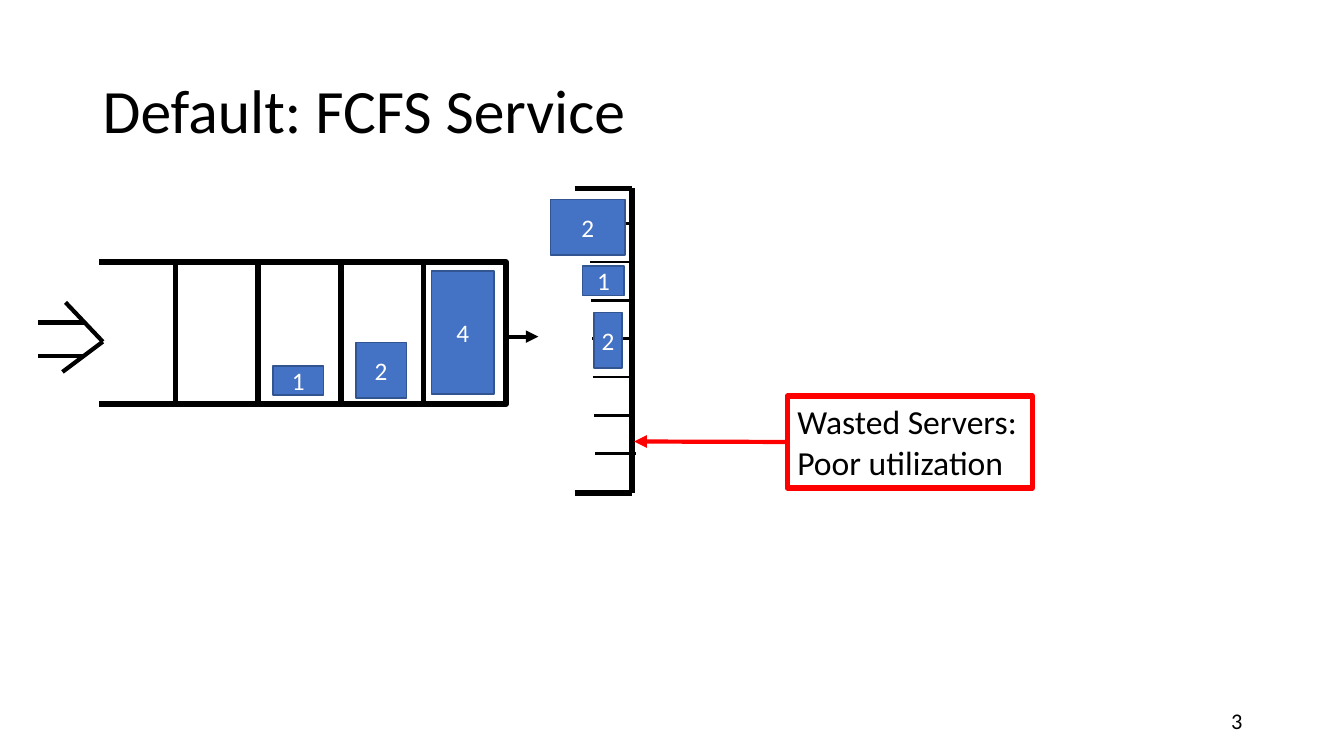
from dataclasses import dataclass

from lxml import etree
from pptx import Presentation
from pptx.dml.color import RGBColor
from pptx.enum.shapes import MSO_CONNECTOR, MSO_SHAPE
from pptx.enum.text import MSO_ANCHOR, PP_ALIGN
from pptx.oxml.ns import qn
from pptx.util import Inches, Pt

RECTANGLE = MSO_SHAPE.RECTANGLE
STRAIGHT = MSO_CONNECTOR.STRAIGHT
TOP, MIDDLE = MSO_ANCHOR.TOP, MSO_ANCHOR.MIDDLE
LEFT, CENTER, RIGHT = PP_ALIGN.LEFT, PP_ALIGN.CENTER, PP_ALIGN.RIGHT


@dataclass(frozen=True)
class Theme:
    font: str = "Calibri"
    ink: str = "000000"
    paper: str = "FFFFFF"
    job: str = "4472C4"
    job_edge: str = "325491"
    alert: str = "FF0000"
    title_size: int = 44
    callout_size: int = 24
    job_size: int = 18
    number_size: int = 16


class Page:
    """Draws on one slide in one theme; all lengths are in inches."""

    def __init__(self, slide, theme):
        self.shapes = slide.shapes
        self.theme = theme

    def line(self, start, end, width, color=None, arrow=False):
        connector = self.shapes.add_connector(STRAIGHT, *map(Inches, start + end))
        connector.line.color.rgb = RGBColor.from_string(color or self.theme.ink)
        connector.line.width = Pt(width)
        properties = connector._element.spPr
        if arrow:
            etree.SubElement(properties.find(qn("a:ln")), qn("a:tailEnd"), type="triangle")
        etree.SubElement(properties, qn("a:effectLst"))

    def rectangle(self, area, fill, edge, width):
        """Add a rectangle; a fill of None leaves it see-through."""
        box = self.shapes.add_shape(RECTANGLE, *map(Inches, area))
        box.shadow.inherit = False
        if fill:
            box.fill.solid()
            box.fill.fore_color.rgb = RGBColor.from_string(fill)
        else:
            box.fill.background()
        box.line.color.rgb = RGBColor.from_string(edge)
        box.line.width = Pt(width)
        return box

    def set_text(self, box, text, size, color, align=LEFT, anchor=MIDDLE):
        frame = box.text_frame
        frame.word_wrap = True
        frame.vertical_anchor = anchor
        para = frame.paragraphs[0]
        para.text = text
        para.alignment = align
        para.font.name = self.theme.font
        para.font.size = Pt(size)
        para.font.color.rgb = RGBColor.from_string(color)
        return para

    def text(self, area, text, size, align=LEFT):
        box = self.shapes.add_textbox(*map(Inches, area))
        return self.set_text(box, text, size, self.theme.ink, align)

    def job(self, area, servers):
        """Add a job labelled with the number of servers it needs."""
        box = self.rectangle(area, self.theme.job, self.theme.job_edge, 1)
        box.text_frame.margin_left = box.text_frame.margin_right = 0
        self.set_text(box, str(servers), self.theme.job_size, self.theme.paper, CENTER)

    def callout(self, area, text, target):
        left, top, width, height = area
        box = self.rectangle(area, None, self.theme.alert, 4)
        self.set_text(box, text, self.theme.callout_size, self.theme.ink, anchor=TOP)
        self.line((left, top + height / 2), target, 3, self.theme.alert, arrow=True)


def draw_queue(page):
    left, right, top, bottom = 0.98, 5.02, 2.6, 4.01
    slot_width = 0.82
    for y in (top, bottom):
        page.line((left, y), (right, y), 4)
    for slot in range(1, 5):
        area = (right - slot * slot_width, top, slot_width, bottom - top)
        page.rectangle(area, page.theme.paper, page.theme.ink, 4)
    page.line((right, 3.34), (5.34, 3.34), 3, arrow=True)


def draw_arrivals(page):
    tip = (1.02, 3.39)
    for barb in ((0.65, 3), (0.62, 3.69)):
        page.line(barb, tip, 3)
    for y in (3.2, 3.53):
        page.line((0.38, y), (0.83, y), 3)


def draw_servers(page):
    wall, top, bottom = 6.27, 1.87, 4.89
    for y in (top, bottom):
        page.line((5.7, y), (wall, y), 4)
    page.line((wall, top), (wall, bottom), 4)
    for divider in range(7):
        x, y = 5.84 + 0.01 * divider, 2.22 + 0.38 * divider
        page.line((x, y), (x + 0.41, y), 2)


def main():
    deck = Presentation()
    deck.slide_width, deck.slide_height = Inches(13.33), Inches(7.5)
    theme = Theme()
    page = Page(deck.slides.add_slide(deck.slide_layouts[6]), theme)

    title = page.text((0.92, 0.4, 11.5, 1.45), "Default: FCFS Service", theme.title_size)
    title.line_spacing = 0.9
    draw_queue(page)
    draw_arrivals(page)
    draw_servers(page)

    jobs_in_service = [
        ((5.46, 1.98, 0.74, 0.55), 2),
        ((5.78, 2.64, 0.41, 0.29), 1),
        ((5.89, 3.1, 0.28, 0.55), 2),
    ]
    jobs_waiting = [
        ((4.28, 2.69, 0.62, 1.22), 4),
        ((3.53, 3.4, 0.5, 0.55), 2),
        ((2.71, 3.63, 0.5, 0.29), 1),
    ]
    for area, servers in jobs_in_service + jobs_waiting:
        page.job(area, servers)

    page.callout((7.81, 3.93, 2.43, 0.91), "Wasted Servers: Poor utilization", (6.29, 4.38))
    page.text((9.42, 6.95, 3, 0.4), "3", theme.number_size, RIGHT)
    deck.save("out.pptx")


if __name__ == "__main__":
    main()
